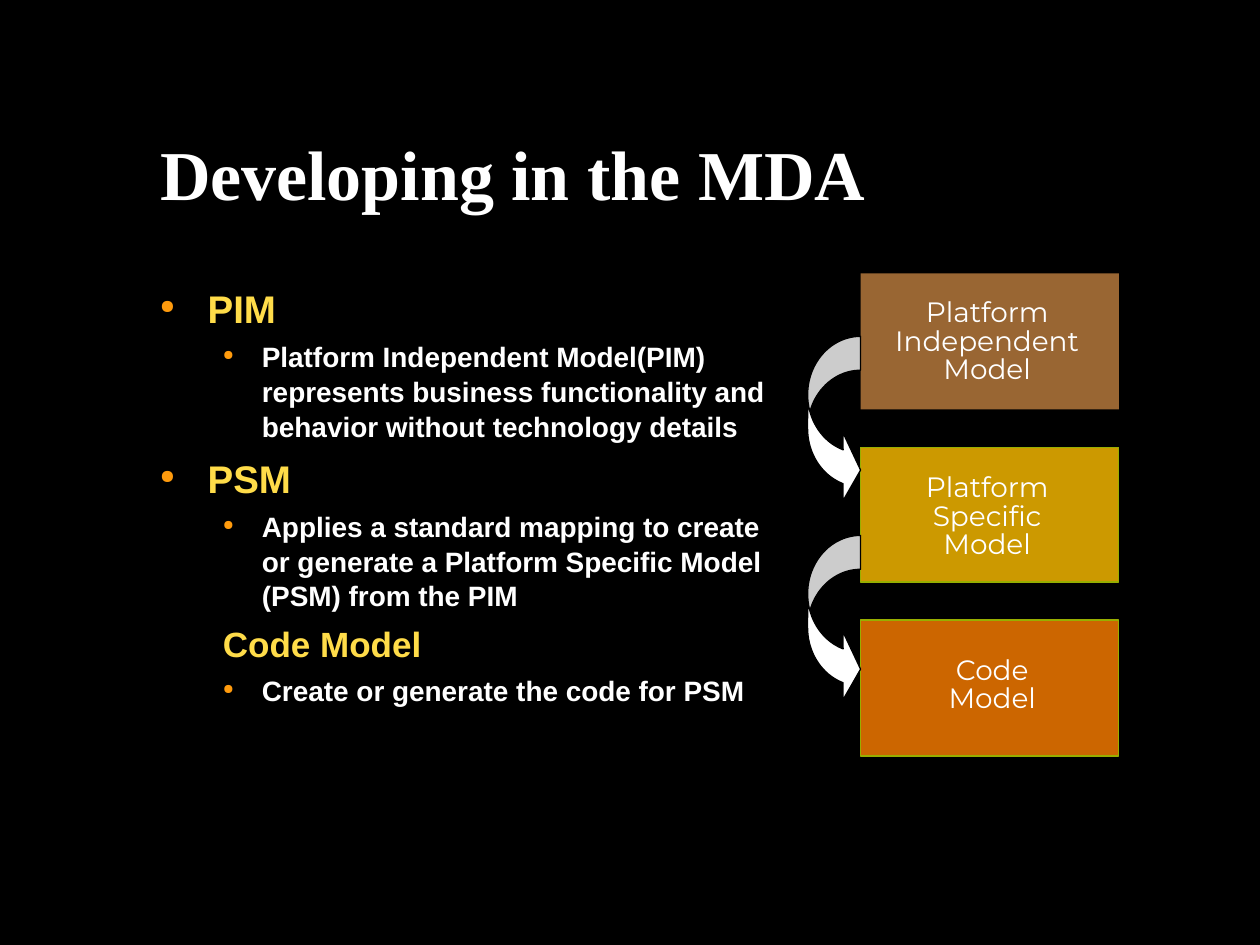
from lxml.etree import SubElement
from pptx import Presentation
from pptx.dml.color import RGBColor
from pptx.enum.shapes import MSO_SHAPE as SHAPE
from pptx.enum.text import MSO_ANCHOR as ANCHOR, MSO_AUTO_SIZE as AUTO, PP_ALIGN as ALIGN
from pptx.oxml.ns import qn
from pptx.util import Inches, Pt

BLACK = RGBColor(0x00, 0x00, 0x00)
WHITE = RGBColor(0xFF, 0xFF, 0xFF)
YELLOW = RGBColor(0xFF, 0xDC, 0x49)
ORANGE = RGBColor(0xFF, 0x9B, 0x0D)
BROWN = RGBColor(0x99, 0x66, 0x33)
GOLD = RGBColor(0xCC, 0x99, 0x00)
RUST = RGBColor(0xCC, 0x66, 0x00)
GREEN = RGBColor(0x98, 0xAE, 0x00)

TITLE = "Developing in the MDA"
# text, level, size, colour, space before, bulleted
OUTLINE = [
    ("PIM", 0, 22, YELLOW, 0, True),
    ("Platform Independent Model(PIM) represents business functionality and "
     "behavior without technology details", 1, 16, WHITE, 4, True),
    ("PSM", 0, 22, YELLOW, 5.5, True),
    ("Applies a standard mapping to create or generate a Platform Specific Model "
     "(PSM) from the PIM", 1, 16, WHITE, 4, True),
    ("Code Model", 1, 20, YELLOW, 5, False),
    ("Create or generate the code for PSM", 1, 16, WHITE, 4, True),
]
INDENTS = [(0.38, -0.38), (0.81, -0.31)]
# label lines, fill, outline, box top and height, label left, top, width and height
MODELS = [
    (["Platform", "Independent", "Model"], BROWN, None, (2.17, 1.08), (6.92, 2.33, 1.83, 0.78)),
    (["Platform", "Specific", "Model"], GOLD, GREEN, (3.55, 1.07), (6.67, 3.72, 2.33, 0.78)),
    (["Code", "Model"], RUST, GREEN, (4.92, 1.08), (7, 5.17, 1.75, 0.56)),
]
BOX_LEFT, BOX_WIDTH = 6.83, 2.05
ARROW_TOPS = [2.67, 4.25]
ARROW_WIDTH, ARROW_HEIGHT = 0.42, 1.33


def add_run(p, text, font, size, color, bold=False):
    r = p.add_run()
    r.text = text
    r.font.name, r.font.size, r.font.bold = font, Pt(size), bold
    r.font.color.rgb = color


def set_indent(p, level, bulleted):
    left, first = INDENTS[level]
    p.level = level
    pPr = p._p.get_or_add_pPr()
    pPr.set("marL", str(Inches(left)))
    pPr.set("indent", str(Inches(first)))
    if bulleted:
        color = SubElement(pPr, qn("a:buClr"))
        SubElement(color, qn("a:srgbClr"), val=str(ORANGE))
        SubElement(pPr, qn("a:buSzPct"), val="50000")
        SubElement(pPr, qn("a:buChar"), char="●")
    else:
        SubElement(pPr, qn("a:buNone"))


def add_text_box(s, *place):
    tf = s.shapes.add_textbox(*map(Inches, place)).text_frame
    tf.word_wrap = True
    return tf


def add_filled(s, kind, place, fill, line):
    sp = s.shapes.add_shape(kind, *map(Inches, place))
    sp.shadow.inherit = False
    sp.fill.solid()
    sp.fill.fore_color.rgb = fill
    if line is None:
        sp.line.fill.background()
    else:
        sp.line.color.rgb = line
        sp.line.width = Pt(0.75)
    return sp


prs = Presentation()
prs.slide_width, prs.slide_height = Inches(10), Inches(7.5)
s = prs.slides.add_slide(prs.slide_layouts[5])
s.background.fill.solid()
s.background.fill.fore_color.rgb = BLACK

title = s.shapes.title
title.left, title.top, title.width, title.height = map(Inches, (1.17, 0.98, 8.67, 0.77))
tf = title.text_frame
tf.auto_size = AUTO.NONE
tf.vertical_anchor = ANCHOR.BOTTOM
p = tf.paragraphs[0]
p.alignment = ALIGN.LEFT
add_run(p, TITLE, "Times New Roman", 40, WHITE, True)

tf = add_text_box(s, 1.17, 2.2, 5.08, 5.2)
for i, (text, level, size, color, before, bulleted) in enumerate(OUTLINE):
    p = tf.add_paragraph() if i else tf.paragraphs[0]
    p.line_spacing = 1.04
    p.space_before = Pt(before)
    set_indent(p, level, bulleted)
    add_run(p, text, "Arial", size, color, True)

for lines, fill, outline, (top, height), label in MODELS:
    add_filled(s, SHAPE.RECTANGLE, (BOX_LEFT, top, BOX_WIDTH, height), fill, outline)
    tf = add_text_box(s, *label)
    for i, text in enumerate(lines):
        p = tf.add_paragraph() if i else tf.paragraphs[0]
        p.alignment = ALIGN.CENTER
        p.line_spacing = 0.85
        add_run(p, text, "Montserrat", 16, WHITE)

for top in ARROW_TOPS:
    place = (BOX_LEFT - ARROW_WIDTH, top, ARROW_WIDTH, ARROW_HEIGHT)
    arrow = add_filled(s, SHAPE.CURVED_RIGHT_ARROW, place, WHITE, BLACK)
    for i, value in enumerate((0.64, 1.28, 0.33)):
        arrow.adjustments[i] = value

prs.save("out.pptx")
